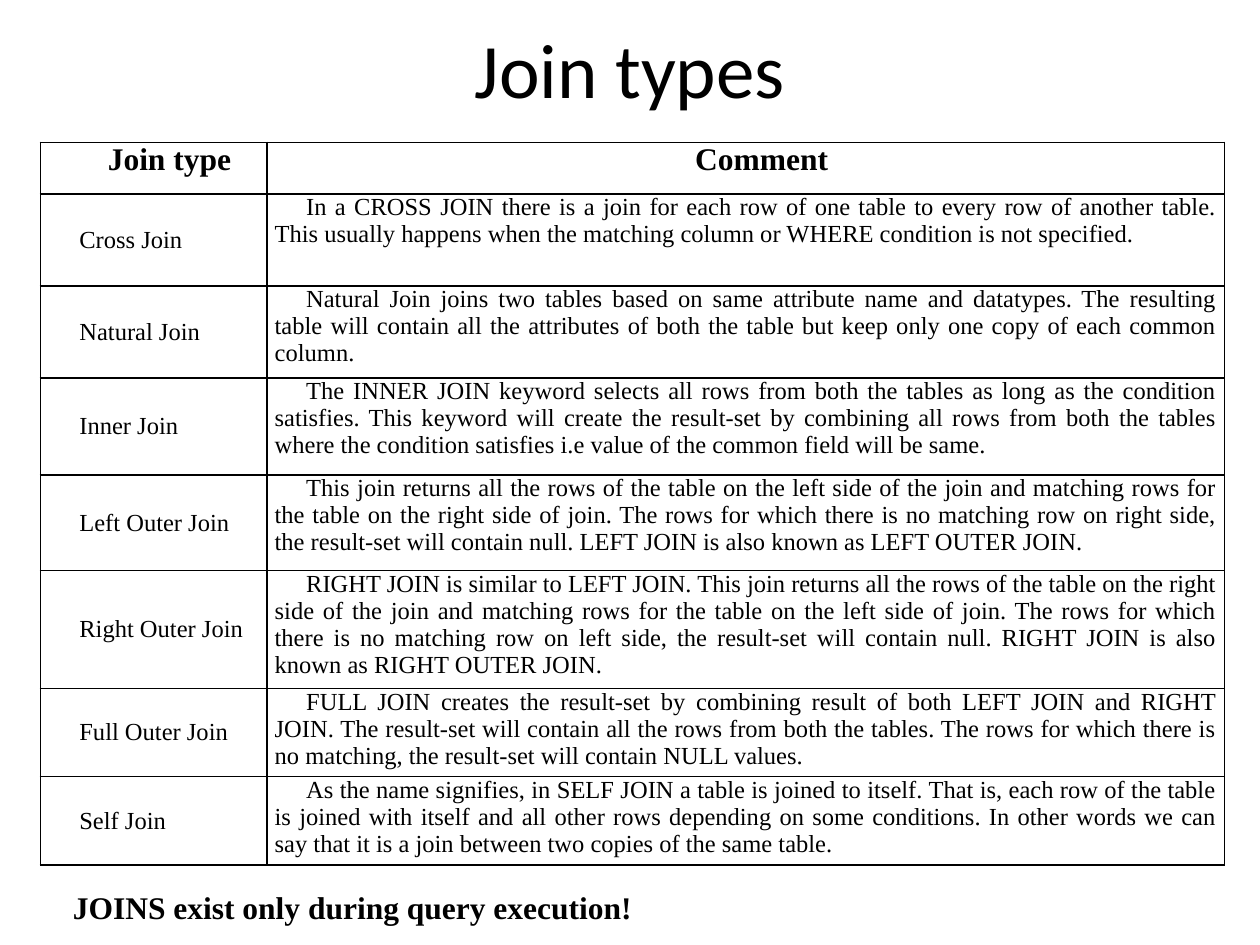
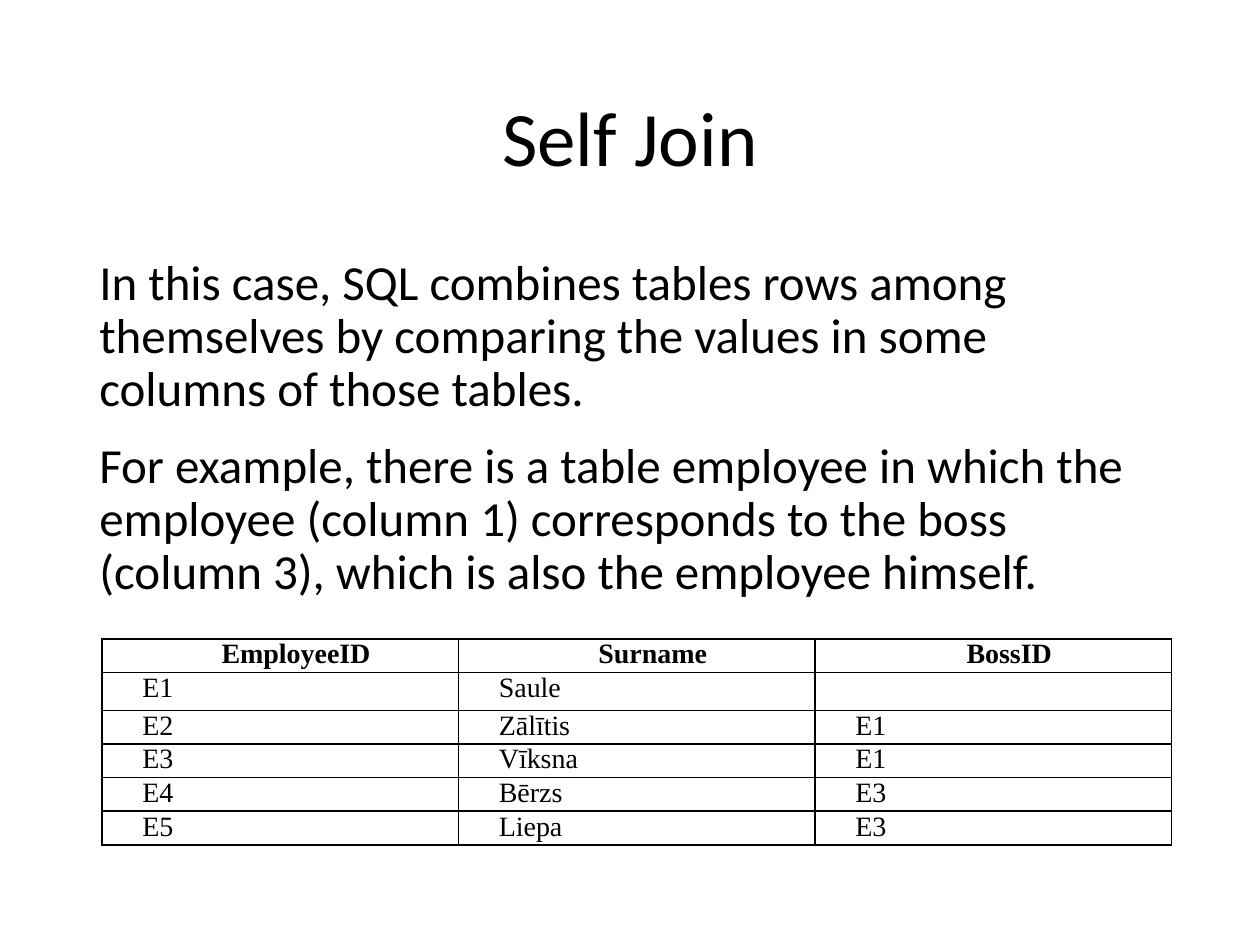
from dataclasses import dataclass

from lxml import etree
from pptx import Presentation
from pptx.dml.color import RGBColor
from pptx.enum.text import MSO_ANCHOR, PP_ALIGN
from pptx.oxml.ns import qn
from pptx.util import Inches, Pt

TOP, MIDDLE = MSO_ANCHOR.TOP, MSO_ANCHOR.MIDDLE
LEFT, CENTER, JUSTIFY = PP_ALIGN.LEFT, PP_ALIGN.CENTER, PP_ALIGN.JUSTIFY


@dataclass(frozen=True)
class Theme:
    ink: str = "000000"
    sans: str = "Calibri"
    serif: str = "Times New Roman"
    title: int = 44
    body: int = 28
    head: int = 18
    cell: int = 14
    data: int = 16
    rule: int = 1
    indent: float = 0.25


class Deck:
    def __init__(self, theme):
        self.theme = theme
        self.file = Presentation()
        self.file.slide_width, self.file.slide_height = Inches(10), Inches(7.5)
        self.slide = None

    def page(self, title, top):
        """Start a slide with the shared title style."""
        self.slide = self.file.slides.add_slide(self.file.slide_layouts[6])
        self.text([title], (0.69, top, 8.62, 1.45), anchor=MIDDLE,
                  para={"alignment": CENTER, "line_spacing": 0.9},
                  font={"name": self.theme.sans, "size": Pt(self.theme.title)})

    def fill(self, para, text, form, font):
        """Put one styled run into a paragraph."""
        for key, value in form.items():
            setattr(para, key, value)
        run = para.add_run()
        run.text = text
        for key, value in font.items():
            setattr(run.font, key, value)
        run.font.color.rgb = RGBColor.from_string(self.theme.ink)

    def text(self, lines, box, para, font, anchor=TOP, gap=0):
        shape = self.slide.shapes.add_textbox(*map(Inches, box))
        frame = shape.text_frame
        frame.word_wrap, frame.vertical_anchor = True, anchor
        for i, line in enumerate(lines):
            item = frame.add_paragraph() if i else frame.paragraphs[0]
            self.fill(item, line, para, font)
            if i:
                item.space_before = Pt(gap)

    def border(self, cell):
        props = cell._tc.get_or_add_tcPr()
        for i, side in enumerate(("lnL", "lnR", "lnT", "lnB")):
            line = etree.Element(qn(f"a:{side}"), w=str(Pt(self.theme.rule)))
            paint = etree.SubElement(line, qn("a:solidFill"))
            etree.SubElement(paint, qn("a:srgbClr"), val=self.theme.ink)
            props.insert(i, line)

    def table(self, rows, spot, widths, heights, sizes, inset, label=TOP):
        """Draw a ruled table; sizes holds the header and the row size."""
        box = (*spot, sum(widths), sum(heights))
        frame = self.slide.shapes.add_table(
            len(rows), len(widths), *map(Inches, box))
        grid = frame.table
        grid.first_row = grid.horz_banding = False
        for col, width in zip(grid.columns, widths):
            col.width = Inches(width)
        for r, (row, height) in enumerate(zip(rows, heights)):
            grid.rows[r].height = Inches(height)
            head = r == 0
            font = {"name": self.theme.serif, "bold": head,
                    "size": Pt(sizes[0] if head else sizes[1])}
            for c, text in enumerate(row):
                cell = grid.cell(r, c)
                form = {"margin_left": Inches(inset),
                        "margin_right": Inches(inset),
                        "margin_top": 0, "margin_bottom": 0,
                        "vertical_anchor": TOP if head or c else label}
                for key, value in form.items():
                    setattr(cell, key, value)
                cell.fill.background()
                self.border(cell)
                para = cell.text_frame.paragraphs[0]
                props = para._p.get_or_add_pPr()
                props.set("marL", "0")
                props.set("indent", str(Inches(self.theme.indent)))
                align = CENTER if head else JUSTIFY
                self.fill(para, text, {"alignment": align}, font)


JOINS = [
    ("Join type", "Comment"),
    ("Cross Join",
     "In a CROSS JOIN there is a join for each row of one table to every row "
     "of another table. This usually happens when the matching column or "
     "WHERE condition is not specified."),
    ("Natural Join",
     "Natural Join joins two tables based on same attribute name and "
     "datatypes. The resulting table will contain all the attributes of both "
     "the table but keep only one copy of each common column."),
    ("Inner Join",
     "The INNER JOIN keyword selects all rows from both the tables as long as "
     "the condition satisfies. This keyword will create the result-set by "
     "combining all rows from both the tables where the condition satisfies "
     "i.e value of the common field will be same."),
    ("Left Outer Join",
     "This join returns all the rows of the table on the left side of the "
     "join and matching rows for the table on the right side of join. The "
     "rows for which there is no matching row on right side, the result-set "
     "will contain null. LEFT JOIN is also known as LEFT OUTER JOIN."),
    ("Right Outer Join",
     "RIGHT JOIN is similar to LEFT JOIN. This join returns all the rows of "
     "the table on the right side of the join and matching rows for the table "
     "on the left side of join. The rows for which there is no matching row "
     "on left side, the result-set will contain null. RIGHT JOIN is also "
     "known as RIGHT OUTER JOIN."),
    ("Full Outer Join",
     "FULL JOIN creates the result-set by combining result of both LEFT JOIN "
     "and RIGHT JOIN. The result-set will contain all the rows from both the "
     "tables. The rows for which there is no matching, the result-set will "
     "contain NULL values."),
    ("Self Join",
     "As the name signifies, in SELF JOIN a table is joined to itself. That "
     "is, each row of the table is joined with itself and all other rows "
     "depending on some conditions. In other words we can say that it is a "
     "join between two copies of the same table."),
]

STAFF = [
    ("EmployeeID", "Surname", "BossID"),
    ("E1", "Saule", ""),
    ("E2", "Zālītis", "E1"),
    ("E3", "Vīksna", "E1"),
    ("E4", "Bērzs", "E3"),
    ("E5", "Liepa", "E3"),
]

CASE = [
    "In this case, SQL combines tables rows among themselves by comparing "
    "the values in some columns of those tables.",
    "For example, there is a table employee in which the employee (column 1) "
    "corresponds to the boss (column 3), which is also the employee himself.",
]


def main():
    theme = Theme()
    deck = Deck(theme)

    # Join types
    deck.page("Join types", -0.14)
    deck.table(JOINS, (0.32, 1.13), (1.8, 7.6),
               (0.41, 0.73, 0.73, 0.77, 0.76, 0.91, 0.65, 0.65),
               (theme.head, theme.cell), 0.06, label=MIDDLE)
    deck.text(["JOINS exist only during query execution!"],
              (0.48, 7, 9.11, 0.4), para={"alignment": LEFT},
              font={"name": theme.serif, "size": Pt(theme.head), "bold": True})

    # Self join
    deck.page("Self Join", 0.4)
    deck.text(CASE, (0.69, 2, 8.62, 4.76), gap=14,
              para={"alignment": LEFT, "line_spacing": 0.9},
              font={"name": theme.sans, "size": Pt(theme.body)})
    deck.table(STAFF, (0.81, 5.07), [2.83] * 3, [0.26] * len(STAFF),
               (theme.data, theme.data), 0.07)

    deck.file.save("out.pptx")


if __name__ == "__main__":
    main()
